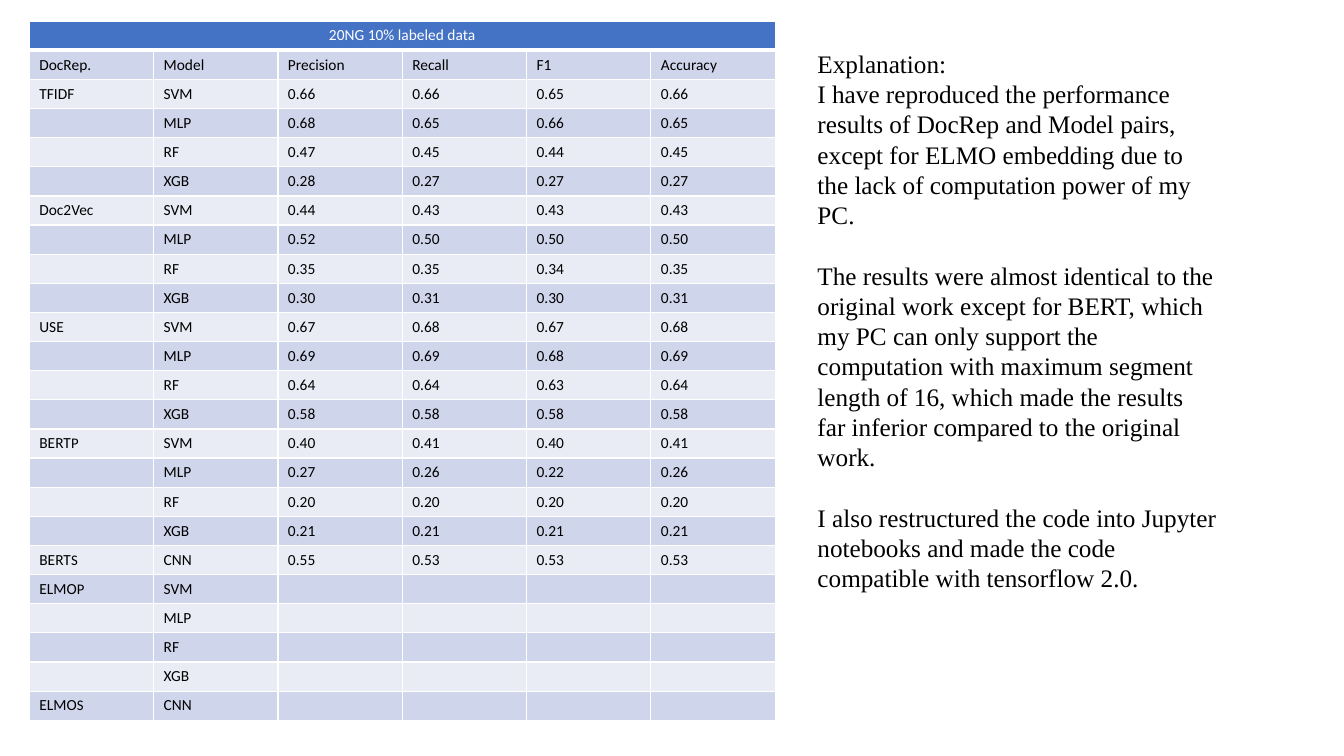
from dataclasses import dataclass

from lxml import etree
from pptx import Presentation
from pptx.dml.color import RGBColor
from pptx.enum.text import MSO_AUTO_SIZE, PP_ALIGN
from pptx.oxml.ns import qn
from pptx.util import Inches, Pt

CENTER, LEFT = PP_ALIGN.CENTER, PP_ALIGN.LEFT
FIT_SHAPE = MSO_AUTO_SIZE.SHAPE_TO_FIT_TEXT


@dataclass(frozen=True)
class Theme:
    header: str = "4472C4"
    bands: tuple[str, str] = ("CFD5EA", "E9EBF5")
    white: str = "FFFFFF"
    black: str = "000000"
    table_font: str = "Calibri"
    text_font: str = "Times New Roman"
    table_size: float = 11
    suffix_size: float = 10.5
    text_size: float = 18
    line_pitch: float = 21.6


@dataclass(frozen=True)
class Result:
    model: str
    scores: str = ""


@dataclass(frozen=True)
class DocRep:
    name: str
    results: tuple[Result, ...]
    suffix: str = ""


THEME = Theme()
TITLE = "20NG 10% labeled data"
HEADINGS = ("DocRep.", "Model", "Precision", "Recall", "F1", "Accuracy")
MODELS = ("SVM", "MLP", "RF", "XGB")


def classic(*scores: str) -> tuple[Result, ...]:
    """Pair the four classic models with their scores."""
    return tuple(Result(*pair) for pair in zip(MODELS, scores))


# Scores in the order precision, recall, F1, accuracy
DOC_REPS = (
    DocRep("TFIDF", classic("0.66 0.66 0.65 0.66", "0.68 0.65 0.66 0.65",
                            "0.47 0.45 0.44 0.45", "0.28 0.27 0.27 0.27")),
    DocRep("Doc2Vec", classic("0.44 0.43 0.43 0.43", "0.52 0.50 0.50 0.50",
                              "0.35 0.35 0.34 0.35", "0.30 0.31 0.30 0.31")),
    DocRep("USE", classic("0.67 0.68 0.67 0.68", "0.69 0.69 0.68 0.69",
                          "0.64 0.64 0.63 0.64", "0.58 0.58 0.58 0.58")),
    DocRep("BERT", classic("0.40 0.41 0.40 0.41", "0.27 0.26 0.22 0.26",
                           "0.20 0.20 0.20 0.20", "0.21 0.21 0.21 0.21"), "P"),
    DocRep("BERT", (Result("CNN", "0.55 0.53 0.53 0.53"),), "S"),
    DocRep("ELMO", tuple(Result(model) for model in MODELS), "P"),
    DocRep("ELMO", (Result("CNN"),), "S"),
)

EXPLANATION = (
    "Explanation:",
    "I have reproduced the performance results of DocRep and Model pairs, except for "
    "ELMO embedding due to the lack of computation power of my PC.",
    "The results were almost identical to the original work except for BERT, which my PC "
    "can only support the computation with maximum segment length of 16, which made the "
    "results far inferior compared to the original work.",
    "I also restructured the code into Jupyter notebooks and made the code compatible "
    "with tensorflow 2.0.",
)


def add_run(p, text: str, font: str, size: float, color: str) -> None:
    r = p.add_run()
    r.text = text
    for name, value in {"name": font, "size": Pt(size), "bold": False}.items():
        setattr(r.font, name, value)
    r.font.color.rgb = RGBColor.from_string(color)


def set_borders(cell, bottom: float = 1) -> None:
    tc_pr = cell._tc.get_or_add_tcPr()
    for side, width in {"L": 1, "R": 1, "T": 1, "B": bottom}.items():
        ln = etree.SubElement(tc_pr, qn(f"a:ln{side}"), w=str(Pt(width)))
        fill = etree.SubElement(ln, qn("a:solidFill"))
        etree.SubElement(fill, qn("a:srgbClr"), val=THEME.white)


def format_cell(cell, text: str, fill: str, color: str = THEME.black, align=LEFT,
                suffix: str = "", bottom: float = 1) -> None:
    set_borders(cell, bottom)
    cell.fill.solid()
    cell.fill.fore_color.rgb = RGBColor.from_string(fill)
    p = cell.text_frame.paragraphs[0]
    p.alignment = align
    for part, size in ((text, THEME.table_size), (suffix, THEME.suffix_size)):
        if part:
            add_run(p, part, THEME.table_font, size, color)
    if not text:  # keeps empty cells from stretching the row
        etree.SubElement(p._p, qn("a:endParaRPr"), sz=str(round(THEME.table_size * 100)))


def add_results(slide) -> None:
    # Body rows: headings, then one row per result
    rows = [(HEADINGS, "")]
    for rep in DOC_REPS:
        for i, result in enumerate(rep.results):
            name, suffix = (rep.name, rep.suffix) if i == 0 else ("", "")
            scores = result.scores.split() or [""] * 4
            rows.append(((name, result.model, *scores), suffix))

    table = slide.shapes.add_table(len(rows) + 1, len(HEADINGS), Inches(0.29), Inches(0.21),
                                   Inches(7.4), Inches(6.94)).table
    table.horz_banding = False

    # Title row across all columns
    for cell in table.rows[0].cells:
        format_cell(cell, "", THEME.header, bottom=3)
    title = table.cell(0, 0)
    title.merge(table.cell(0, len(HEADINGS) - 1))
    p = title.text_frame.paragraphs[0]
    p.alignment = CENTER
    add_run(p, TITLE, THEME.table_font, THEME.table_size, THEME.white)

    # Banded body
    for i, (texts, suffix) in enumerate(rows):
        for j, text in enumerate(texts):
            format_cell(table.cell(i + 1, j), text, THEME.bands[i % 2],
                        suffix=suffix if j == 0 else "")


def add_explanation(slide) -> None:
    tf = slide.shapes.add_textbox(Inches(8.01), Inches(0.43), Inches(4.16),
                                  Inches(5.55)).text_frame
    tf.word_wrap = True
    tf.auto_size = FIT_SHAPE
    for i, text in enumerate(EXPLANATION):
        p = tf.add_paragraph() if i else tf.paragraphs[0]
        gap = THEME.line_pitch if i > 1 else 0
        for name, value in {"line_spacing": Pt(THEME.line_pitch),
                            "space_before": Pt(gap)}.items():
            setattr(p, name, value)
        add_run(p, text, THEME.text_font, THEME.text_size, THEME.black)


def main() -> None:
    prs = Presentation()
    prs.slide_width, prs.slide_height = Inches(13.33), Inches(7.5)
    slide = prs.slides.add_slide(prs.slide_layouts[6])
    add_results(slide)
    add_explanation(slide)
    prs.save("out.pptx")


if __name__ == "__main__":
    main()
